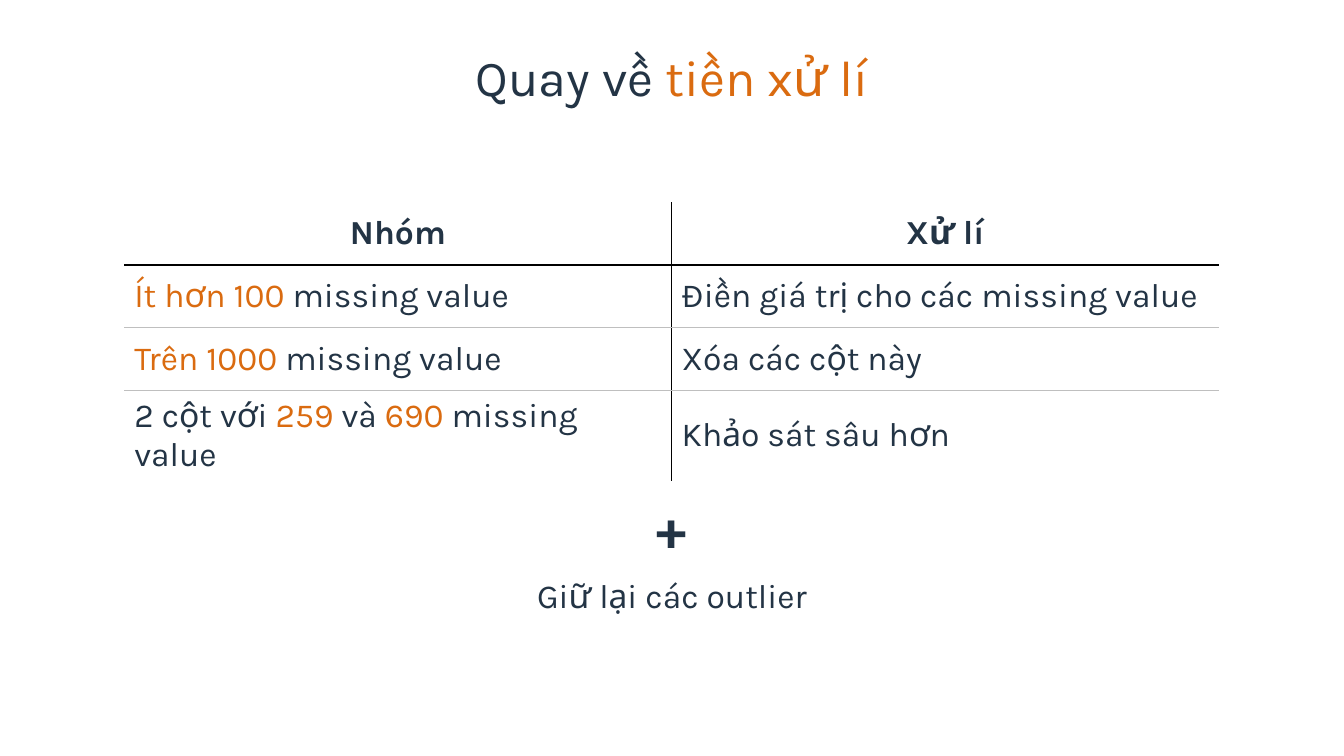
from dataclasses import dataclass

from lxml import etree
from pptx import Presentation
from pptx.dml.color import RGBColor
from pptx.enum.text import MSO_ANCHOR, PP_ALIGN
from pptx.oxml.ns import qn
from pptx.util import Pt

CENTER, LEFT = PP_ALIGN.CENTER, PP_ALIGN.LEFT
TOP, MIDDLE = MSO_ANCHOR.TOP, MSO_ANCHOR.MIDDLE


@dataclass(frozen=True)
class Theme:
    font: str = "Karla"
    ink: str = "233445"
    accent: str = "DA6B10"
    rule: str = "000000"
    row_rule: str = "BFBFBF"
    title_size: int = 36
    body_size: int = 24
    plus_size: int = 40


THEME = Theme()

HEADERS = ["Nhóm", "Xử lí"]
ROWS = [
    ["*Ít hơn 100 *missing value", "Điền giá trị cho các missing value"],
    ["*Trên 1000 *missing value", "Xóa các cột này"],
    ["2 cột với *259* và *690* missing value", "Khảo sát sâu hơn"],
]


def write_text(frame, text, size=THEME.body_size, bold=False, align=LEFT, line_spacing=None):
    """Fill the first paragraph; parts between asterisks take the accent colour."""
    paragraph = frame.paragraphs[0]
    paragraph.alignment = align
    if line_spacing:
        paragraph.line_spacing = line_spacing
    for index, part in enumerate(text.split("*")):
        if not part:
            continue
        run = paragraph.add_run()
        run.text = part
        run.font.name = THEME.font
        run.font.size = Pt(size)
        run.font.bold = bold
        color = THEME.accent if index % 2 else THEME.ink
        run.font.color.rgb = RGBColor.from_string(color)


def add_text_box(slide, text, left, top, width, height, anchor=TOP, **text_format):
    box = slide.shapes.add_textbox(Pt(left), Pt(top), Pt(width), Pt(height))
    frame = box.text_frame
    frame.word_wrap = True
    frame.vertical_anchor = anchor
    write_text(frame, text, align=CENTER, **text_format)


def set_borders(cell, **colors):
    """Draw the given sides (L, R, T, B) and hide the others."""
    properties = cell._tc.get_or_add_tcPr()
    for side in "LRTB":
        line = etree.SubElement(properties, qn(f"a:ln{side}"), w=str(Pt(1)))
        color = colors.get(side)
        if color:
            fill = etree.SubElement(line, qn("a:solidFill"))
            etree.SubElement(fill, qn("a:srgbClr"), val=color)
        else:
            etree.SubElement(line, qn("a:noFill"))


def rule_below(row, row_count):
    if row == 0:
        return THEME.rule
    return THEME.row_rule if row < row_count - 1 else None


def add_group_table(slide, left, top, width, row_height):
    content = [HEADERS, *ROWS]
    count = len(content)
    frame = slide.shapes.add_table(
        count, len(HEADERS), Pt(left), Pt(top), Pt(width), Pt(row_height * count)
    )
    table = frame.table
    table.first_row = table.horz_banding = False
    for row, texts in enumerate(content):
        table.rows[row].height = Pt(row_height)
        for column, text in enumerate(texts):
            cell = table.cell(row, column)
            cell.vertical_anchor = MIDDLE
            is_header = row == 0
            write_text(
                cell.text_frame, text, bold=is_header, align=CENTER if is_header else LEFT
            )
            set_borders(
                cell,
                L=THEME.rule if column else None,
                R=None if column else THEME.rule,
                T=rule_below(row - 1, count) if row else None,
                B=rule_below(row, count),
            )
            cell.fill.background()


def main():
    presentation = Presentation()
    presentation.slide_width, presentation.slide_height = Pt(960), Pt(540)
    slide = presentation.slides.add_slide(presentation.slide_layouts[6])

    add_text_box(slide, "Quay về *tiền xử lí*", 308, 33.5, 344, 42.5,
                 anchor=MIDDLE, size=THEME.title_size)
    add_group_table(slide, left=88.75, top=144.5, width=782, row_height=44.8)
    add_text_box(slide, "Giữ lại các outlier", 164.5, 392.5, 631, 46, line_spacing=1.5)
    add_text_box(slide, "+", 450.5, 324, 58.5, 73,
                 size=THEME.plus_size, bold=True, line_spacing=1.5)

    presentation.save("out.pptx")


if __name__ == "__main__":
    main()
